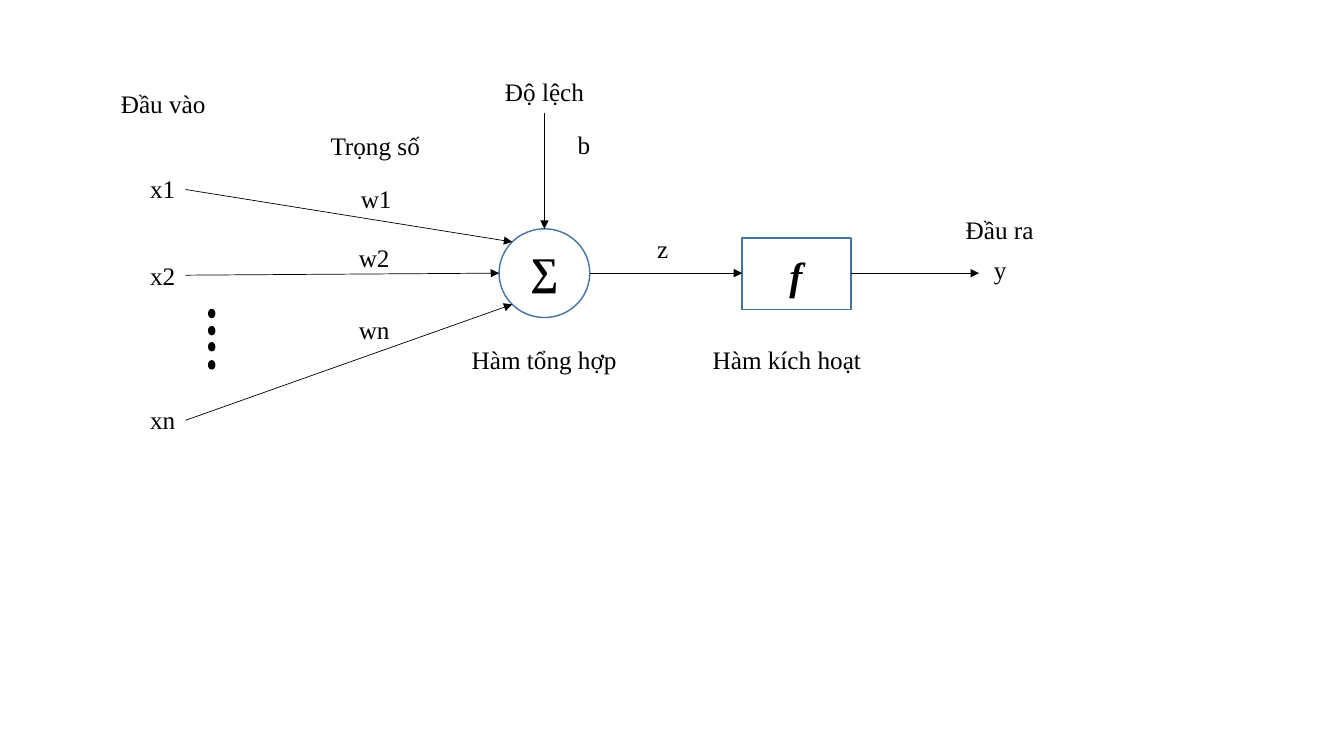
from pptx import Presentation
from pptx.dml.color import RGBColor
from pptx.enum.shapes import MSO_CONNECTOR, MSO_SHAPE
from pptx.enum.text import MSO_AUTO_SIZE, PP_ALIGN
from pptx.oxml.ns import qn
from pptx.util import Inches, Pt
from lxml.etree import SubElement

BLACK = RGBColor(0x00, 0x00, 0x00)
WHITE = RGBColor(0xFF, 0xFF, 0xFF)
BLUE = RGBColor(0x43, 0x73, 0x9E)

prs = Presentation()
prs.slide_width, prs.slide_height = Inches(13.33), Inches(7.5)
s = prs.slides.add_slide(prs.slide_layouts[6])


def add_node(kind, x, y, w, h, fill, line):
    sp = s.shapes.add_shape(kind, Inches(x), Inches(y), Inches(w), Inches(h))
    sp.shadow.inherit = False
    sp.fill.solid()
    sp.fill.fore_color.rgb = fill
    sp.line.color.rgb = line
    sp.line.width = Pt(1)


def add_label(text, x, y, w, h=0.4, paragraph=None, **font):
    """Add a one-line text box; paragraph and font hold format values."""
    tf = s.shapes.add_textbox(Inches(x), Inches(y), Inches(w), Inches(h)).text_frame
    tf.word_wrap = False
    tf.auto_size = MSO_AUTO_SIZE.SHAPE_TO_FIT_TEXT
    p = tf.paragraphs[0]
    for name, value in (paragraph or {}).items():
        setattr(p, name, value)
    r = p.add_run()
    r.text = text
    r.font.color.rgb = BLACK
    for name, value in ({"name": "Times New Roman", "size": Pt(18)} | font).items():
        setattr(r.font, name, value)


# Sum node, activation node and the dots between x2 and xn
add_node(MSO_SHAPE.FLOWCHART_CONNECTOR, 4.95, 2.27, 0.9, 0.88, WHITE, BLUE)
add_node(MSO_SHAPE.RECTANGLE, 7.36, 2.36, 1.08, 0.71, WHITE, BLUE)
for y in (3.07, 3.24, 3.4, 3.58):
    add_node(MSO_SHAPE.FLOWCHART_CONNECTOR, 2.07, y, 0.06, 0.08, BLACK, BLACK)

# Arrows: inputs, bias, sum to activation, output
for x1, y1, x2, y2 in (
    (1.84, 1.88, 5.08, 2.4),
    (1.84, 2.73, 4.95, 2.71),
    (1.84, 4.17, 5.08, 3.02),
    (5.4, 1.12, 5.4, 2.27),
    (5.85, 2.71, 7.36, 2.71),
    (8.44, 2.71, 9.71, 2.71),
):
    arrow = s.shapes.add_connector(
        MSO_CONNECTOR.STRAIGHT, Inches(x1), Inches(y1), Inches(x2), Inches(y2))
    arrow.line.color.rgb = BLACK
    arrow.line.width = Pt(0.5)
    SubElement(arrow.line._get_or_add_ln(), qn("a:tailEnd"), type="triangle")
    SubElement(arrow._element.spPr, qn("a:effectLst"))

for text, x, y, w in (
    ("Đầu vào", 1.1, 0.83, 1.05),
    ("x1", 1.39, 1.67, 0.45),
    ("x2", 1.39, 2.53, 0.45),
    ("xn", 1.39, 3.96, 0.45),
    ("Trọng số", 3.18, 1.24, 1.1),
    ("w1", 3.48, 1.77, 0.51),
    ("w2", 3.46, 2.36, 0.51),
    ("wn", 3.46, 3.07, 0.51),
    ("Độ lệch", 4.91, 0.71, 0.99),
    ("b", 5.63, 1.23, 0.33),
    ("Hàm tổng hợp", 4.58, 3.37, 1.65),
    ("z", 6.42, 2.27, 0.31),
    ("Hàm kích hoạt", 6.97, 3.37, 1.69),
    ("Đầu ra", 9.48, 2.08, 0.88),
    ("y", 9.76, 2.47, 0.33),
):
    add_label(text, x, y, w)

add_label("∑", 5.16, 2.39, 0.48, 0.57, {"alignment": PP_ALIGN.CENTER},
          size=Pt(28), bold=True)
add_label("f", 7.73, 2.41, 0.33, 0.58, {"line_spacing": 1.07, "space_after": Pt(8)},
          size=Pt(28), bold=True, italic=True)

prs.save("out.pptx")
